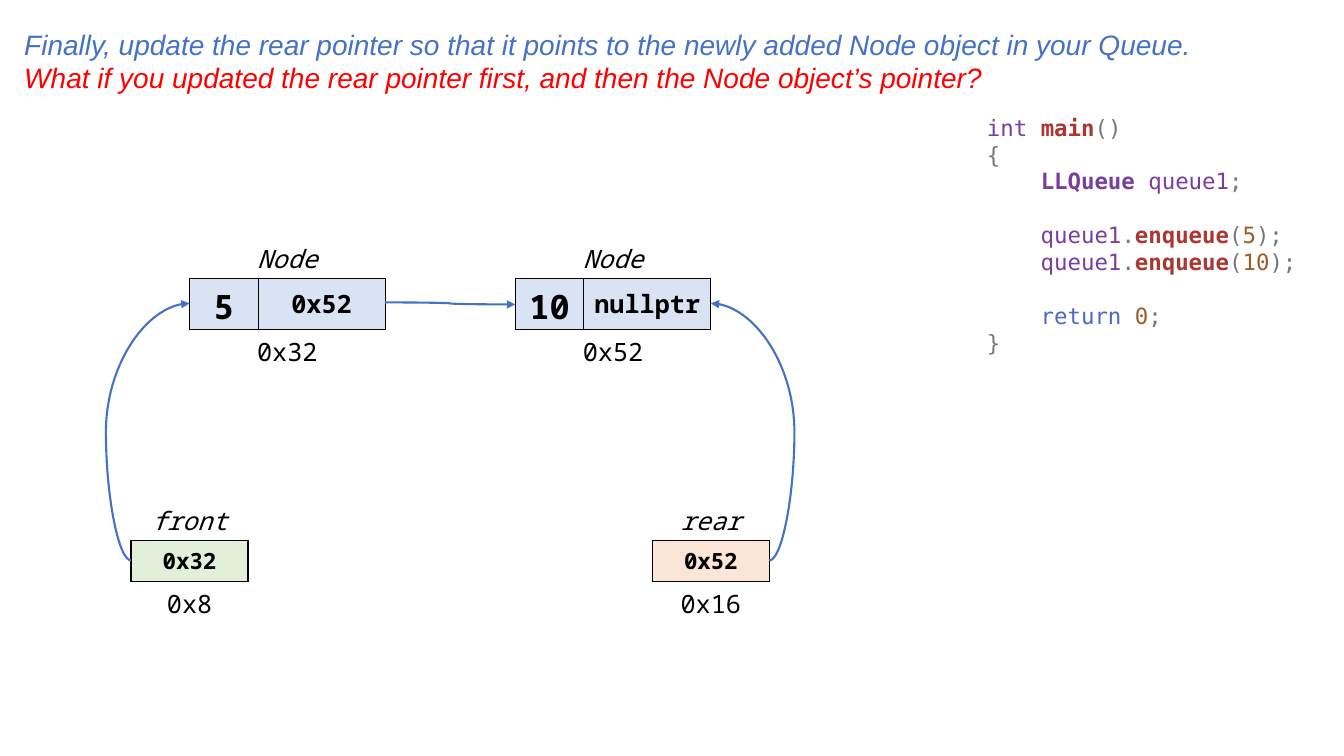
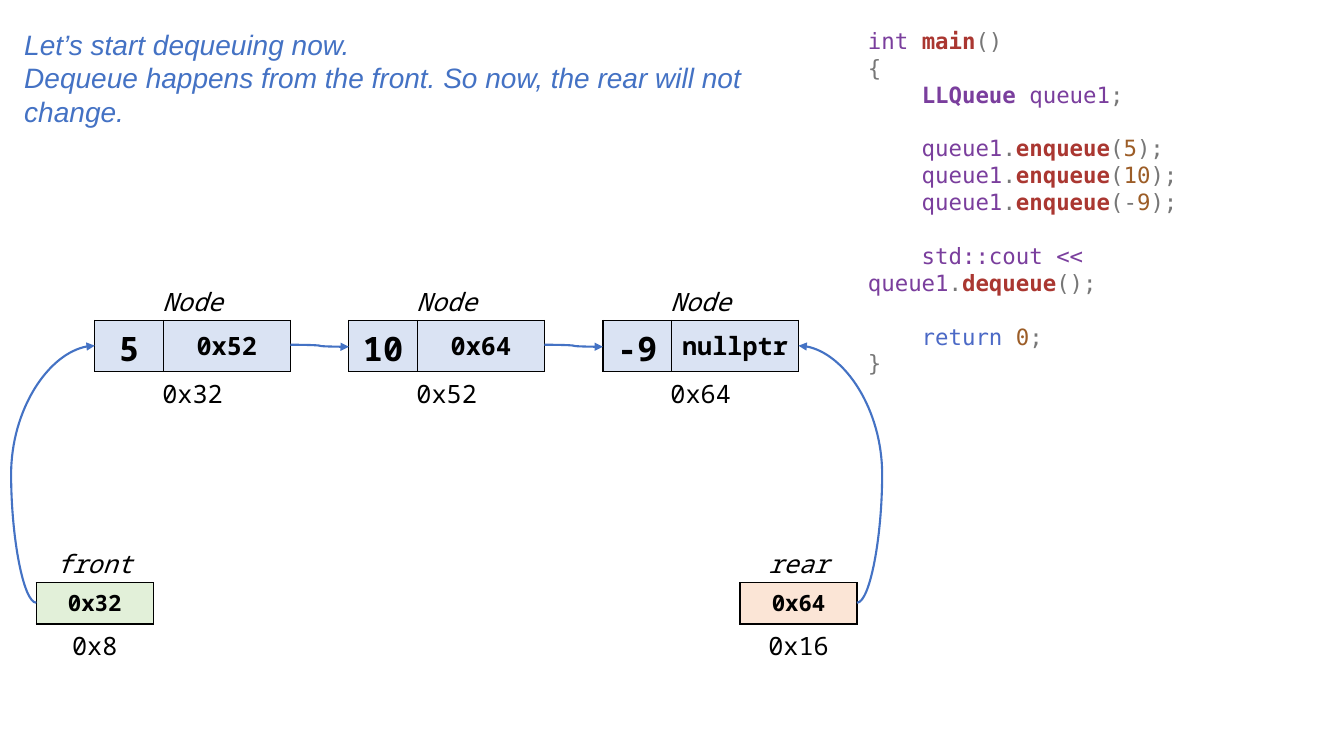
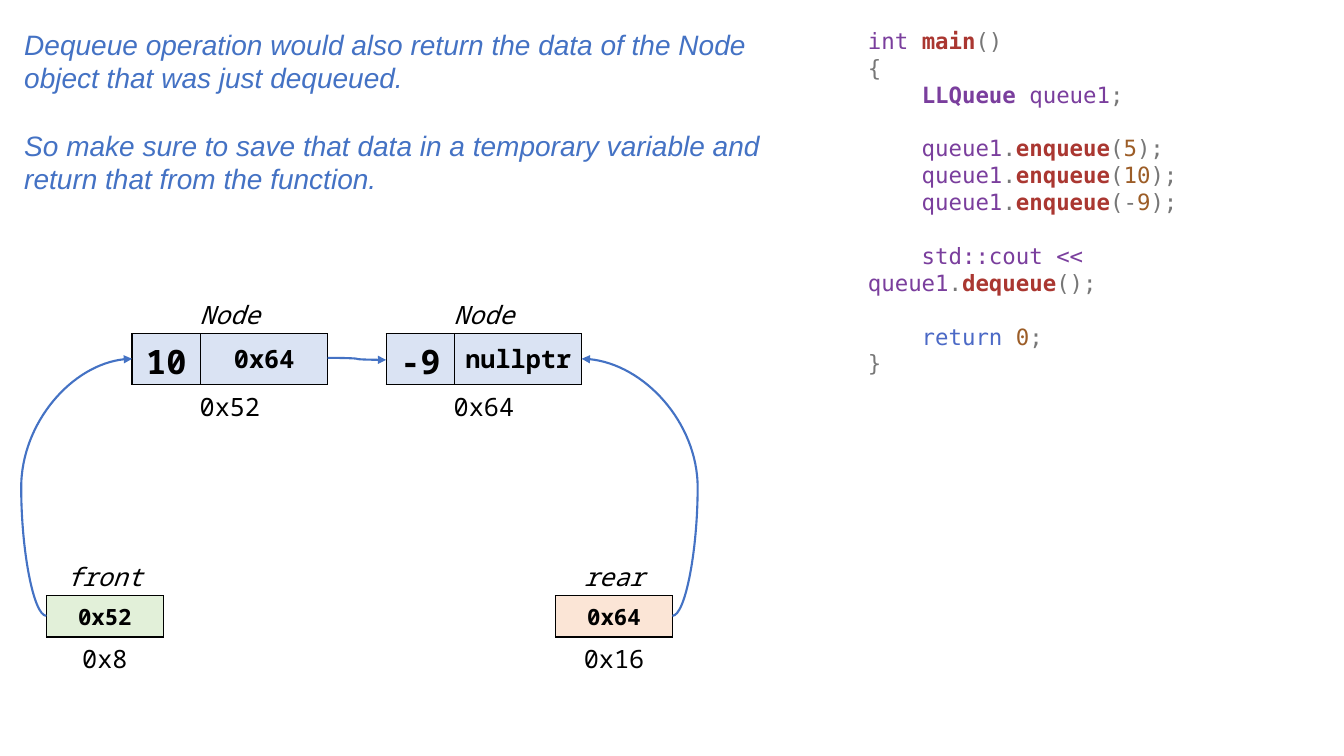
from lxml.etree import SubElement
from pptx import Presentation
from pptx.dml.color import RGBColor
from pptx.enum.shapes import MSO_CONNECTOR
from pptx.enum.text import MSO_ANCHOR, MSO_AUTO_SIZE, PP_ALIGN
from pptx.oxml.ns import qn
from pptx.util import Inches, Pt

# Colours
BLACK = RGBColor(0x00, 0x00, 0x00)
BLUE = RGBColor(0x44, 0x72, 0xC4)
RED = RGBColor(0xFF, 0x00, 0x00)
NODE_FILL = RGBColor(0xDA, 0xE3, 0xF3)
FRONT_FILL = RGBColor(0xE2, 0xF0, 0xD9)
REAR_FILL = RGBColor(0xFB, 0xE5, 0xD6)

# Syntax styles: colour and bold
NAME = (RGBColor(0x7A, 0x3E, 0x9D), False)
TYPE = (RGBColor(0x7A, 0x3E, 0x9D), True)
FUNCTION = (RGBColor(0xAA, 0x37, 0x31), True)
SIGN = (RGBColor(0x77, 0x77, 0x77), False)
NUMBER = (RGBColor(0x9C, 0x5D, 0x27), False)
KEYWORD = (RGBColor(0x4B, 0x69, 0xC6), False)

TITLE_FONT, CODE_FONT, DIAGRAM_FONT = "Arial", "DejaVu Sans Mono", "Noto Sans Mono"
TITLE_LINE, CODE_LINE = Pt(24), Pt(19.2)
NO_TABLE_STYLE = "{2D5ABB26-0587-4C30-8999-92F81FD0307C}"

# Layout, in inches
SLIDE_WIDTH, SLIDE_HEIGHT = 13.33, 7.5
LEFT_EDGE, RIGHT_EDGE, TOP_EDGE = 0.14, 13.2, 0.22
NODE_COLUMNS, NODE_ROWS = (0.68, 1.26), (0.41, 0.5, 0.41)
BOX_COLUMNS, BOX_ROWS = (1.16,), (0.41, 0.41, 0.41)
NODE_WIDTH, BOX_WIDTH = sum(NODE_COLUMNS), sum(BOX_COLUMNS)
NODE_MIDDLE, BOX_MIDDLE = 0.66, 0.61
BOX_DROP = 2.6
BEND = 0.25
CELL_PAD = 0.05


def add_run(paragraph, text, font_name, size, color, bold=False, italic=False):
    run = paragraph.add_run()
    run.text = text
    font = run.font
    font.name, font.size, font.bold, font.italic = font_name, Pt(size), bold, italic
    font.color.rgb = color


def add_lines(frame, lines, line_height, write_line):
    """Write one paragraph per (gap before, content) pair."""
    frame.word_wrap = True
    frame.auto_size = MSO_AUTO_SIZE.NONE
    frame.vertical_anchor = MSO_ANCHOR.TOP
    for index, (gap, content) in enumerate(lines):
        paragraph = frame.paragraphs[0] if index == 0 else frame.add_paragraph()
        paragraph.alignment = PP_ALIGN.LEFT
        paragraph.line_spacing = line_height
        paragraph.space_before = line_height if gap else Pt(0)
        write_line(paragraph, content)


def set_title(slide, lines, width, height):
    title = slide.shapes.title
    title.left, title.top = Inches(LEFT_EDGE), Inches(TOP_EDGE)
    title.width, title.height = Inches(width), Inches(height)

    def write_line(paragraph, content):
        text, color = content
        add_run(paragraph, text, TITLE_FONT, 20, color, italic=True)

    add_lines(title.text_frame, lines, TITLE_LINE, write_line)


def add_code(slide, left, top, height, lines):
    box = slide.shapes.add_textbox(Inches(left), Inches(top),
                                   Inches(RIGHT_EDGE - left), Inches(height))

    def write_line(paragraph, tokens):
        for text, (color, bold) in tokens:
            add_run(paragraph, text, CODE_FONT, 16, color, bold)

    add_lines(box.text_frame, lines, CODE_LINE, write_line)


def call(start, function, *arguments):
    return [(start, NAME), (".", SIGN), (function, FUNCTION), *arguments]


def enqueue(number, opening="("):
    return call("    queue1", "enqueue", (opening, SIGN), (number, NUMBER), (");", SIGN))


def program(*statements):
    """Code of main() around the given (gap, tokens) statements."""
    return [
        (False, [("int ", NAME), ("main", FUNCTION), ("()", SIGN)]),
        (False, [("{", SIGN)]),
        (False, [("    ", SIGN), ("LLQueue ", TYPE), ("queue1", NAME), (";", SIGN)]),
        *statements,
        (True, [("    return ", KEYWORD), ("0", NUMBER), (";", SIGN)]),
        (False, [("}", SIGN)]),
    ]


def set_borders(cell, sides):
    properties = cell._tc.get_or_add_tcPr()
    for side in "LRTB":
        line = SubElement(properties, qn(f"a:ln{side}"), w=str(Pt(1)))
        if side in sides:
            fill = SubElement(line, qn("a:solidFill"))
            SubElement(fill, qn("a:srgbClr"), val=str(BLACK))
        else:
            SubElement(line, qn("a:noFill"))


def format_cell(cell, text, size, borders, fill=None, bold=False, italic=False, pad=CELL_PAD):
    set_borders(cell, borders)
    if fill is None:
        cell.fill.background()
    else:
        cell.fill.solid()
        cell.fill.fore_color.rgb = fill
        cell.vertical_anchor = MSO_ANCHOR.MIDDLE
    cell.margin_left = cell.margin_right = Inches(CELL_PAD)
    cell.margin_top, cell.margin_bottom = Inches(pad), 0
    paragraph = cell.text_frame.paragraphs[0]
    paragraph.alignment = PP_ALIGN.CENTER
    add_run(paragraph, text, DIAGRAM_FONT, size, BLACK, bold, italic)


def add_memory(slide, left, top, columns, rows, label, values, address, fill):
    """Table with a label above, (text, size, pad) values and an address below."""
    frame = slide.shapes.add_table(len(rows), len(columns), Inches(left), Inches(top),
                                   Inches(sum(columns)), Inches(sum(rows)))
    table = frame.table
    table.first_row = table.horz_banding = False
    table._tbl.tblPr.find(qn("a:tableStyleId")).text = NO_TABLE_STYLE
    for column, width in zip(table.columns, columns):
        column.width = Inches(width)
    for row, height in zip(table.rows, rows):
        row.height = Inches(height)
    for index, (text, size, pad) in enumerate(values):
        format_cell(table.cell(1, index), text, size, "LRTB", fill, bold=True, pad=pad)
        set_borders(table.cell(0, index), "B") if index else None
        set_borders(table.cell(2, index), "T") if index else None
    if len(columns) > 1:
        for row in (0, 2):
            table.cell(row, 0).merge(table.cell(row, len(columns) - 1))
    format_cell(table.cell(0, 0), label, 18, "B", italic=True)
    format_cell(table.cell(2, 0), address, 18, "T")


def add_arrow(slide, start, end, bend=None):
    """Curved arrow; bend is how far it swings out behind its start."""
    connector = slide.shapes.add_connector(
        MSO_CONNECTOR.CURVE, *(Inches(value) for value in (*start, *end)))
    connector.line.color.rgb = BLUE
    connector.line.width = Pt(1.5)
    properties = connector._element.spPr
    SubElement(connector.line._get_or_add_ln(), qn("a:tailEnd"), type="triangle")
    SubElement(properties, qn("a:effectLst"))
    if bend:
        share = round(-bend / abs(end[0] - start[0]) * 100000)
        guides = properties.find(qn("a:prstGeom")).find(qn("a:avLst"))
        SubElement(guides, qn("a:gd"), name="adj1", fmla=f"val {share}")


def add_queue(slide, left, top, gap, nodes, front_overhang=0.58, rear_overhang=0.58):
    """Linked nodes of (value, address) with front and rear pointers."""
    pitch = NODE_WIDTH + gap
    followers = [address for _, address in nodes[1:]] + ["nullptr"]
    for index, ((value, address), follower) in enumerate(zip(nodes, followers)):
        node_left = left + index * pitch
        add_memory(slide, node_left, top, NODE_COLUMNS, NODE_ROWS, "Node",
                   [(value, 24, CELL_PAD), (follower, 18, 0)], address, NODE_FILL)
        if index:
            add_arrow(slide, (node_left - gap, top + NODE_MIDDLE - 0.01),
                      (node_left, top + NODE_MIDDLE + 0.01))

    # Front and rear pointers
    right = left + (len(nodes) - 1) * pitch + NODE_WIDTH
    front_left, rear_right = left - front_overhang, right + rear_overhang
    box_top, target = top + BOX_DROP, top + NODE_MIDDLE
    for box_left, label, pointee, address, fill, start, end in (
        (front_left, "front", nodes[0][1], "0x8", FRONT_FILL, front_left, left),
        (rear_right - BOX_WIDTH, "rear", nodes[-1][1], "0x16", REAR_FILL, rear_right, right),
    ):
        add_memory(slide, box_left, box_top, BOX_COLUMNS, BOX_ROWS, label,
                   [(pointee, 16, 0)], address, fill)
        add_arrow(slide, (start, box_top + BOX_MIDDLE), (end, target), BEND)


def main():
    presentation = Presentation()
    presentation.slide_width = Inches(SLIDE_WIDTH)
    presentation.slide_height = Inches(SLIDE_HEIGHT)
    title_only = presentation.slide_layouts[5]

    five, ten, minus_nine = ("5", "0x32"), ("10", "0x52"), ("-9", "0x64")
    two_calls = [(True, enqueue("5")), (False, enqueue("10"))]
    dequeue_code = program(
        *two_calls,
        (False, enqueue("9", "(-")),
        (True, call("    std::cout << queue1", "dequeue", ("();", SIGN))),
    )

    # Slide 1: the rear pointer moves to the new node
    slide = presentation.slides.add_slide(title_only)
    set_title(slide, [
        (False, ("Finally, update the rear pointer so that it points to the newly added "
                 "Node object in your Queue.", BLUE)),
        (False, ("What if you updated the rear pointer first, and then the Node object’s "
                 "pointer?", RED)),
    ], 13.06, 0.77)
    add_code(slide, 9.69, 1.08, 2.52, program(*two_calls))
    add_queue(slide, 1.88, 2.35, 1.29, [five, ten])

    # Slide 2: dequeuing starts
    slide = presentation.slides.add_slide(title_only)
    set_title(slide, [
        (False, ("Let’s start dequeuing now.", BLUE)),
        (False, ("Dequeue happens from the front. So now, the rear will not change.", BLUE)),
    ], 7.8, 1.45)
    add_code(slide, 8.51, TOP_EDGE, 3.6, dequeue_code)
    add_queue(slide, 0.94, 2.77, 0.58, [five, ten, minus_nine])

    # Slide 3: the first node is gone
    slide = presentation.slides.add_slide(title_only)
    set_title(slide, [
        (False, ("Dequeue operation would also return the data of the Node object that was "
                 "just dequeued.", BLUE)),
        (True, ("So make sure to save that data in a temporary variable and return that "
                "from the function.", BLUE)),
    ], 7.8, 1.78)
    add_code(slide, 8.51, TOP_EDGE, 3.6, dequeue_code)
    add_queue(slide, 1.31, 2.9, 0.58, [ten, minus_nine], 0.85, 0.9)

    presentation.save("out.pptx")


if __name__ == "__main__":
    main()
